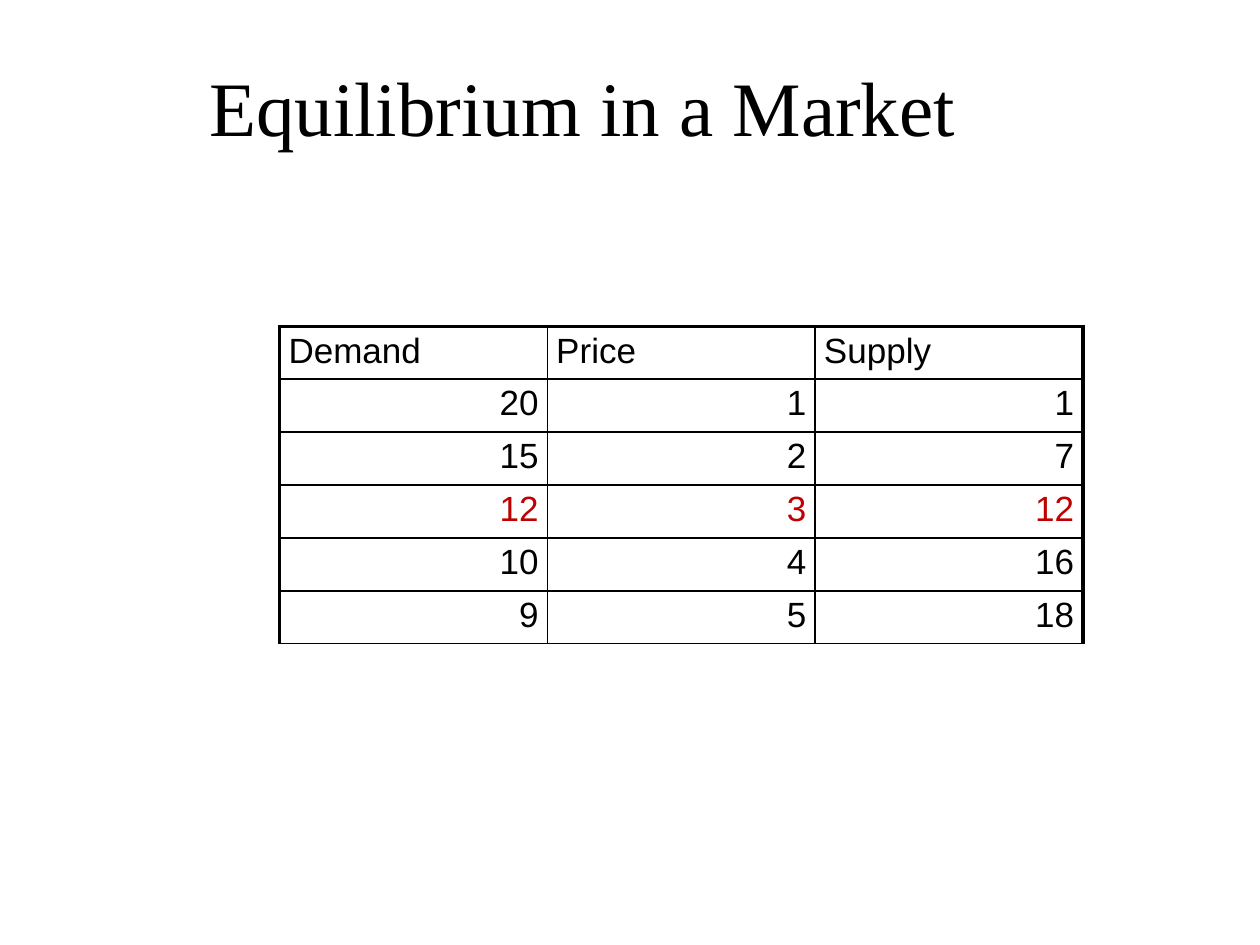
from lxml import etree
from pptx import Presentation
from pptx.dml.color import RGBColor
from pptx.enum.text import MSO_ANCHOR, PP_ALIGN
from pptx.oxml.ns import qn
from pptx.util import Inches, Pt

LEFT, CENTER, RIGHT = PP_ALIGN.LEFT, PP_ALIGN.CENTER, PP_ALIGN.RIGHT
MIDDLE, TOP = MSO_ANCHOR.MIDDLE, MSO_ANCHOR.TOP

TITLE = "Equilibrium in a Market"
HEADER = ("Demand", "Price", "Supply")
SCHEDULE = [
    (20, 1, 1),
    (15, 2, 7),
    (12, 3, 12),
    (10, 4, 16),
    (9, 5, 18),
]
BLACK, RED = "000000", "C00000"
THIN, THICK = 1, 2.25
TABLE_LEFT, TABLE_TOP = 2.22, 2.59
COLUMN_WIDTH, ROW_HEIGHT = 2.125, 0.42


def style_text(para, font_name, size, color, alignment):
    para.alignment = alignment
    para.font.name = font_name
    para.font.size = Pt(size)
    para.font.color.rgb = RGBColor.from_string(color)


def add_border(cell, side, width):
    """Draw one cell edge; side is L, R, T or B, added in that order."""
    line = etree.SubElement(cell._tc.get_or_add_tcPr(), qn(f"a:ln{side}"), w=str(Pt(width)))
    fill = etree.SubElement(line, qn("a:solidFill"))
    etree.SubElement(fill, qn("a:srgbClr"), val=BLACK)


def add_title(page):
    title = page.shapes.title
    title.left, title.top = Inches(0.5), Inches(0.13)
    title.width, title.height = Inches(8.25), Inches(1.42)
    title.text_frame.text = TITLE
    title.text_frame.vertical_anchor = MIDDLE
    style_text(title.text_frame.paragraphs[0], "Times New Roman", 44, BLACK, CENTER)


def add_schedule(page):
    rows = [HEADER, *SCHEDULE]
    last_column = len(HEADER) - 1
    table = page.shapes.add_table(
        len(rows), len(HEADER), Inches(TABLE_LEFT), Inches(TABLE_TOP),
        Inches(COLUMN_WIDTH * len(HEADER)), Inches(ROW_HEIGHT * len(rows))).table
    table.first_row = table.horz_banding = False
    for r, values in enumerate(rows):
        table.rows[r].height = Inches(ROW_HEIGHT)
        in_equilibrium = values[0] == values[-1]
        for c, value in enumerate(values):
            cell = table.cell(r, c)
            cell.text = str(value)
            cell.vertical_anchor = TOP
            cell.margin_left = cell.margin_right = Inches(0.07)
            cell.margin_top = cell.margin_bottom = Inches(0.04)
            style_text(cell.text_frame.paragraphs[0], "Arial", 20,
                       RED if in_equilibrium else BLACK, RIGHT if r else LEFT)
            add_border(cell, "L", THIN if c else THICK)
            add_border(cell, "R", THICK if c == last_column else THIN)
            add_border(cell, "T", THIN if r else THICK)
            add_border(cell, "B", THIN)
            cell.fill.background()


def main():
    deck = Presentation()
    deck.slide_width, deck.slide_height = Inches(10), Inches(7.5)
    page = deck.slides.add_slide(deck.slide_layouts[5])
    add_title(page)
    add_schedule(page)
    deck.save("out.pptx")


if __name__ == "__main__":
    main()
